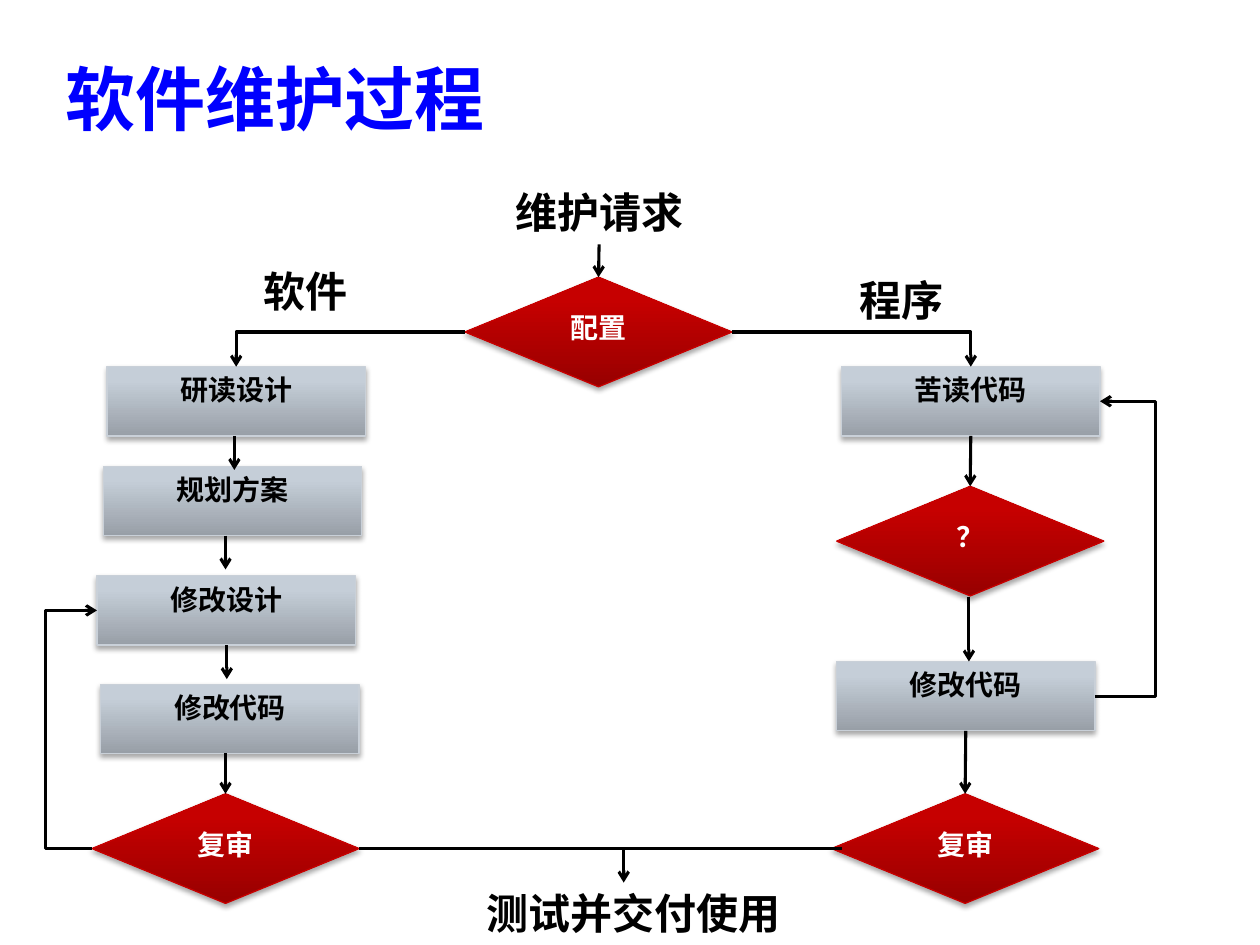
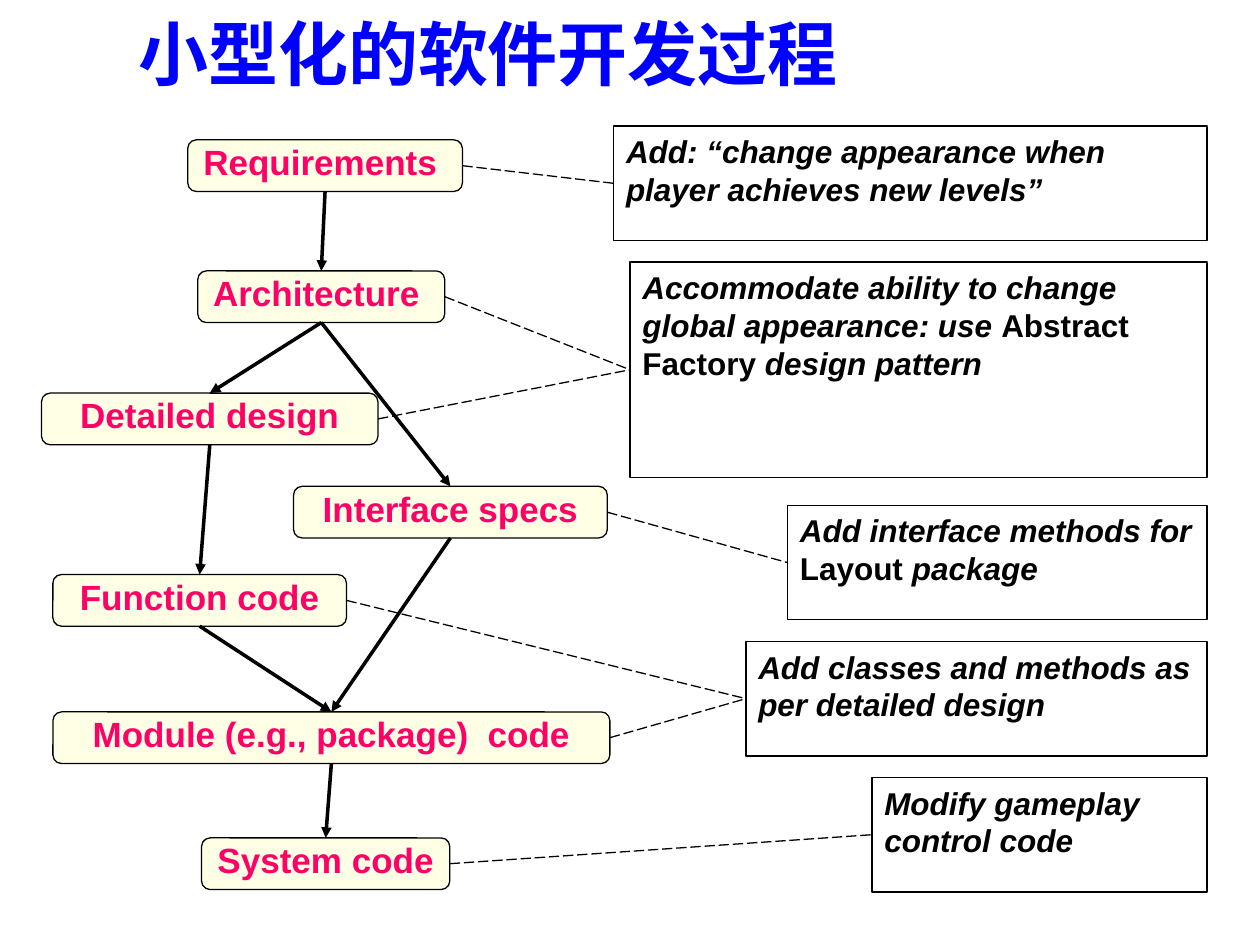
from collections import namedtuple
from dataclasses import dataclass

from lxml import etree
from pptx import Presentation
from pptx.dml.color import RGBColor
from pptx.enum.dml import MSO_LINE
from pptx.enum.shapes import MSO_CONNECTOR, MSO_SHAPE
from pptx.enum.text import MSO_ANCHOR, PP_ALIGN
from pptx.oxml.ns import qn
from pptx.slide import Slide
from pptx.util import Inches, Pt

STRAIGHT, ELBOW = MSO_CONNECTOR.STRAIGHT, MSO_CONNECTOR.ELBOW
RECTANGLE = MSO_SHAPE.RECTANGLE
ROUNDED = MSO_SHAPE.ROUNDED_RECTANGLE
DIAMOND = MSO_SHAPE.FLOWCHART_DECISION
LONG_DASH = MSO_LINE.LONG_DASH
TOP_ANCHOR, MIDDLE_ANCHOR = MSO_ANCHOR.TOP, MSO_ANCHOR.MIDDLE
LEFT_ALIGN, CENTER = PP_ALIGN.LEFT, PP_ALIGN.CENTER
TOP, LEFT, BOTTOM, RIGHT = range(4)

WIDTH, HEIGHT = Inches(10), Inches(7.5)
COLUMNS, ROWS = 100, 75
COL, ROW = WIDTH / COLUMNS, HEIGHT / ROWS

BLACK, WHITE, BLUE = "000000", "FFFFFF", "0000FF"
PINK, CREAM = "FF0066", "FFFFE5"
RED_STOPS = ((0, "980000"), (80, "C60000"), (100, "C70000"))
GRAY_STOPS = ((0, "989FA7"), (80, "C5CED8"), (100, "C6CFDA"))
RED_EDGE, GRAY_EDGE = "C80000", "C9D0D8"
CJK_FONT = "Noto Sans CJK SC"

STEP_SIZE = (20.5, 5.5)
DECISION_SIZE = (21.2, 8.7)
NODE_HEIGHT = 4.1
SHORT_ARROW = 2.7

Side = namedtuple("Side", "shape site")
Point = namedtuple("Point", "x y")


@dataclass
class Region:
    """Part of a slide whose contents are measured in grid cells from its corner."""
    slide: Slide
    left: float = 0
    top: float = 0

    def box(self, col, row, width, height):
        corner = self.point(col, row)
        return corner.x, corner.y, round(width * COL), round(height * ROW)

    def point(self, col, row):
        return Point(round((self.left + col) * COL), round((self.top + row) * ROW))


def rgb(color):
    return RGBColor.from_string(color)


def style_runs(paragraph, size, color, font="Arial"):
    for run in paragraph.runs:
        run.font.size = Pt(size)
        run.font.bold = True
        run.font.name = font
        run.font.color.rgb = rgb(color)
        etree.SubElement(run.font._element, qn("a:ea"), typeface=CJK_FONT)


def write(frame, text, size, color, font="Arial", align=CENTER, anchor=TOP_ANCHOR):
    frame.word_wrap = True
    frame.vertical_anchor = anchor
    frame.text = text
    paragraph = frame.paragraphs[0]
    paragraph.alignment = align
    style_runs(paragraph, size, color, font)


def add_title(region, text, width, height, anchor):
    title = region.slide.shapes.add_textbox(*region.box(0, 0, width, height))
    write(title.text_frame, text, 40, BLUE, CJK_FONT, LEFT_ALIGN, anchor)


def add_label(region, text, col, row, width=18.9):
    label = region.slide.shapes.add_textbox(*region.box(col, row, width, 5.1))
    write(label.text_frame, text, 24, BLACK, "Cabin")
    return label


def add_outlined(region, kind, box, edge):
    shape = region.slide.shapes.add_shape(kind, *region.box(*box))
    shape.shadow.inherit = False
    shape.line.color.rgb = rgb(edge)
    shape.line.width = Pt(0.75)
    return shape


def add_srgb(parent, color):
    return etree.SubElement(parent, qn("a:srgbClr"), val=color)


def add_glossy(region, kind, box, text, stops, edge, text_color):
    """Add a shape with an upward gradient and a soft shadow below it."""
    shape = add_outlined(region, kind, box, edge)
    shape.fill.gradient()
    shape.fill.gradient_angle = 90
    properties = shape._element.spPr
    stop_list = properties.find(qn("a:gradFill")).find(qn("a:gsLst"))
    for old_stop in list(stop_list):
        stop_list.remove(old_stop)
    for percent, color in stops:
        add_srgb(etree.SubElement(stop_list, qn("a:gs"), pos=str(percent * 1000)), color)
    shadow = etree.SubElement(
        properties.find(qn("a:effectLst")), qn("a:outerShdw"), blurRad=str(Pt(3.1)),
        dist=str(Pt(1.8)), dir="5400000", rotWithShape="0")
    etree.SubElement(add_srgb(shadow, BLACK), qn("a:alpha"), val="35000")
    write(shape.text_frame, text, 16, text_color)
    return shape


def add_step(region, text, col, row):
    return add_glossy(region, RECTANGLE, (col, row, *STEP_SIZE), text,
                      GRAY_STOPS, GRAY_EDGE, BLACK)


def add_decision(region, text, col, row):
    return add_glossy(region, DIAMOND, (col, row, *DECISION_SIZE), text,
                      RED_STOPS, RED_EDGE, WHITE)


def connect(slide, begin, end, kind=STRAIGHT, width=1.75, head="arrow", dash=None):
    """Draw a connector between two ends, each a Side of a shape or a Point."""
    link = slide.shapes.add_connector(kind, 0, 0, 0, 0)
    if isinstance(begin, Side):
        link.begin_connect(*begin)
    else:
        link.begin_x, link.begin_y = begin
    if isinstance(end, Side):
        link.end_connect(*end)
    else:
        link.end_x, link.end_y = end
    link.line.color.rgb = rgb(BLACK)
    link.line.width = Pt(width)
    if dash:
        link.line.dash_style = dash
    properties = link._element.spPr
    if head:
        etree.SubElement(properties.find(qn("a:ln")), qn("a:tailEnd"), type=head)
    etree.SubElement(properties, qn("a:effectLst"))
    return link


def connect_corner(slide, begin, end):
    link = connect(slide, begin, end, ELBOW)
    link._element.spPr.find(qn("a:prstGeom")).set("prst", "bentConnector2")


def connect_loop(slide, begin, end, turn_x):
    """Lead a connector back by way of a vertical stretch at turn_x."""
    link = connect(slide, begin, end, ELBOW)
    share = round((turn_x - link.begin_x) / (link.end_x - link.begin_x) * 100000)
    geometry = link._element.spPr.find(qn("a:prstGeom"))
    adjustments = geometry.find(qn("a:avLst"))
    if adjustments is None:
        adjustments = etree.SubElement(geometry, qn("a:avLst"))
    etree.SubElement(adjustments, qn("a:gd"), name="adj1", fmla=f"val {share}")


def add_request(region):
    request = add_label(region, "维护请求", 23.3, 0)
    configuration = add_decision(region, "配置", 22.1, 7.7)
    add_label(region, "软件", 0, 6.3)
    add_label(region, "程序", 47.3, 7)
    connect(region.slide, Side(request, BOTTOM), Side(configuration, TOP))
    return configuration


def add_design_branch(region):
    """Return the first step and the review that closes the branch."""
    slide = region.slide
    places = (("研读设计", 4.9, 0), ("规划方案", 4.6, 7.9),
              ("修改设计", 4.1, 16.6), ("修改代码", 4.4, 25.2))
    steps = [add_step(region, *place) for place in places]
    review = add_decision(region, "复审", 3.7, 33.9)
    for arrow_col, (_, _, row) in zip((15, 14.3, 14.4), places):
        bottom = row + STEP_SIZE[1]
        connect(slide, region.point(arrow_col, bottom),
                region.point(arrow_col, bottom + SHORT_ARROW))
    connect(slide, region.point(14.3, 30.7), Side(review, TOP))
    connect_loop(slide, Side(review, LEFT), Side(steps[2], LEFT), region.point(0, 0).x)
    return steps[0], review


def add_code_branch(region):
    slide = region.slide
    study = add_step(region, "苦读代码", 0.8, 0)
    question = add_decision(region, "？", 0.4, 9.5)
    change = add_step(region, "修改代码", 0.4, 23.4)
    review = add_decision(region, "复审", 0, 33.9)
    connect(slide, Side(study, BOTTOM), Side(question, TOP))
    connect(slide, region.point(10.9, 18.3), region.point(10.9, 23.4))
    connect(slide, Side(change, BOTTOM), Side(review, TOP))
    connect_loop(slide, Side(change, RIGHT), Side(study, RIGHT), region.point(25.7, 0).x)
    return study


def add_delivery(region, design_review):
    connect(region.slide, Side(design_review, RIGHT), region.point(38.3, 0), head=None)
    connect(region.slide, region.point(21, 0), region.point(21, 2.7))
    add_label(region, "测试并交付使用", 8.4, 2.6, 26.8)


def build_maintenance(slide):
    add_title(Region(slide, 4.2, 3.9), "软件维护过程", 90, 7.5, TOP_ANCHOR)
    configuration = add_request(Region(slide, 14.8, 14.3))
    design_start, design_review = add_design_branch(Region(slide, 3.6, 29.1))
    code_start = add_code_branch(Region(slide, 66, 29.1))
    connect_corner(slide, Side(configuration, LEFT), Side(design_start, TOP))
    connect_corner(slide, Side(configuration, RIGHT), Side(code_start, TOP))
    add_delivery(Region(slide, 28.5, 67.35), design_review)


def add_node(region, text, col, row, width):
    node = add_outlined(region, ROUNDED, (col, row, width, NODE_HEIGHT), BLACK)
    node.fill.solid()
    node.fill.fore_color.rgb = rgb(CREAM)
    write(node.text_frame, text, 20, PINK, anchor=MIDDLE_ANCHOR)
    node.text_frame.word_wrap = False
    node.text_frame.paragraphs[0].line_spacing = 0.8
    return node


def add_stages(region):
    """Draw the development stages with their arrows, and return them by key."""
    places = {
        "requirements": ("Requirements ", 11.6, 0, 21.8),
        "architecture": ("Architecture ", 12.4, 10.4, 19.6),
        "design": ("Detailed design", 0, 20.1, 26.7),
        "interface": ("Interface specs", 20, 27.5, 24.9),
        "function": ("Function code", 0.9, 34.5, 23.3),
        "module": ("Module (e.g., package)  code", 0.9, 45.4, 44.2),
        "system": ("System code", 12.7, 55.4, 19.7),
    }
    flows = (("requirements", "architecture"), ("architecture", "design"),
             ("architecture", "interface"), ("design", "function"),
             ("interface", "module"), ("function", "module"), ("module", "system"))
    stages = {key: add_node(region, *place) for key, place in places.items()}
    for source, target in flows:
        connect(region.slide, Side(stages[source], BOTTOM), Side(stages[target], TOP),
                width=2, head="triangle")
    return stages


def add_note(region, lines, col, row, height, right_edge):
    """Write lines of segments, alternately italic and upright."""
    note = add_outlined(region, RECTANGLE, (col, row, right_edge - col, height), BLACK)
    note.fill.background()
    frame = note.text_frame
    frame.word_wrap = True
    frame.vertical_anchor = TOP_ANCHOR
    for number, segments in enumerate(lines):
        paragraph = frame.add_paragraph() if number else frame.paragraphs[0]
        paragraph.alignment = LEFT_ALIGN
        for order, segment in enumerate(segments):
            run = paragraph.add_run()
            run.text = segment
            run.font.italic = order % 2 == 0
        style_runs(paragraph, 18, BLACK)
    return note


def add_notes(region, stages):
    notes = (
        ((("Add: “change appearance when",), ("player achieves new levels”",)),
         0, 0, 9.1, ("requirements",)),
        ((("Accommodate ability to change global appearance: use ",
           "Abstract Factory", " design pattern"),),
         1.3, 10.8, 17.1, ("architecture", "design")),
        ((("Add interface methods for ", "Layout", " package"),),
         13.8, 30.1, 9.1, ("interface",)),
        ((("Add classes and methods as per detailed design",),),
         10.5, 40.9, 9.1, ("function", "module")),
        ((("Modify gameplay control code",),), 20.5, 51.7, 9.1, ("system",)),
    )
    for lines, col, row, height, sources in notes:
        note = add_note(region, lines, col, row, height, right_edge=47.1)
        for source in sources:
            connect(region.slide, Side(stages[source], RIGHT), Side(note, LEFT),
                    width=0.75, head=None, dash=LONG_DASH)


def build_small_process(slide):
    add_title(Region(slide, 10, 1.7), "小型化的软件开发过程", 71.7, 5, MIDDLE_ANCHOR)
    stages = add_stages(Region(slide, 3.3, 11.1))
    add_notes(Region(slide, 48.7, 10), stages)


def main():
    deck = Presentation()
    deck.slide_width, deck.slide_height = WIDTH, HEIGHT
    blank = deck.slide_layouts[6]
    for build in (build_maintenance, build_small_process):
        build(deck.slides.add_slide(blank))
    deck.save("out.pptx")


if __name__ == "__main__":
    main()
